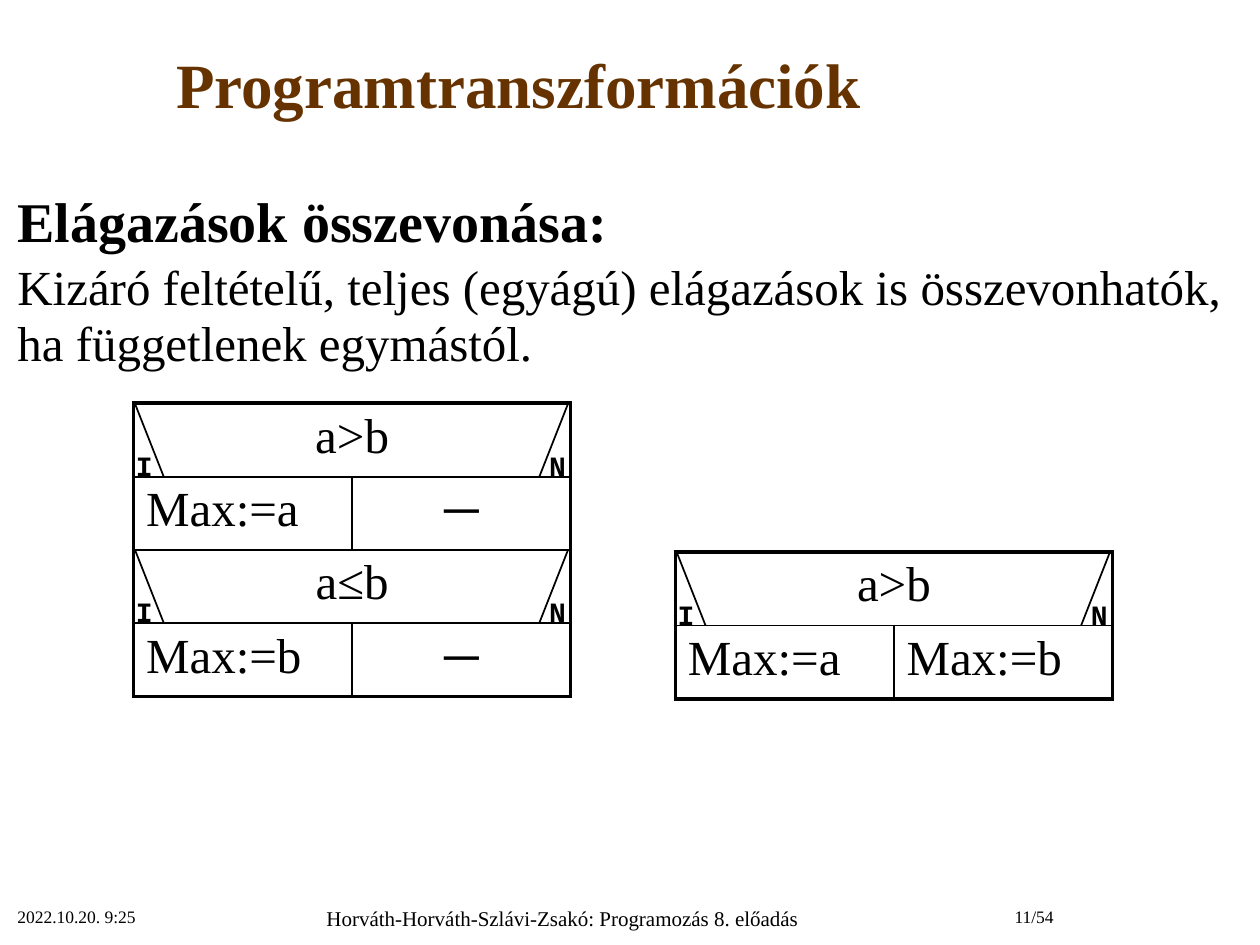
from dataclasses import dataclass

from lxml import etree
from pptx import Presentation
from pptx.dml.color import RGBColor
from pptx.enum.shapes import MSO_CONNECTOR
from pptx.enum.text import MSO_ANCHOR, PP_ALIGN
from pptx.oxml.ns import qn
from pptx.util import Inches, Pt

LEFT, CENTER, RIGHT = PP_ALIGN.LEFT, PP_ALIGN.CENTER, PP_ALIGN.RIGHT
TOP, MIDDLE = MSO_ANCHOR.TOP, MSO_ANCHOR.MIDDLE
STRAIGHT = MSO_CONNECTOR.STRAIGHT

COLORS = {"title": "663300", "ink": "000000"}
SERIF, MONO = "Times New Roman", "Courier New"
THICK, THIN = 2.25, 1
COLUMN_WIDTH, ROW_HEIGHT = 1.735, 0.585
CORNER = 0.23
LABEL_WIDTH, LABEL_HEIGHT = 0.32, 0.37


@dataclass
class Line:
    text: str
    size: float
    bold: bool = False
    color: str = "ink"
    font: str = SERIF
    align: PP_ALIGN = LEFT
    spacing: float = 1.0
    before: float = 0


@dataclass
class Block:
    left: float
    top: float
    width: float
    height: float
    lines: list[Line]
    anchor: MSO_ANCHOR = TOP


@dataclass
class Branch:
    left: float
    top: float
    condition: str
    yes: str
    no: str
    no_align: PP_ALIGN = CENTER
    top_border: float = THICK
    bottom_border: float = THICK


BLOCKS = [
    Block(0, 0.09, 8.23, 1.22,
          [Line("Programtranszformációk", 36, True, "title", align=CENTER, spacing=0.9)], MIDDLE),
    Block(0.04, 1.47, 9.77, 5.2, [
        Line("Elágazások összevonása:", 32, True, spacing=0.95, before=3),
        Line("Kizáró feltételű, teljes (egyágú) elágazások is összevonhatók, "
             "ha függetlenek egymástól.", 28, spacing=0.95, before=3),
    ]),
    Block(0.04, 7.14, 2.08, 0.39, [Line("2022.10.20. 9:25", 10)]),
    Block(2.12, 7.14, 4.69, 0.36,
          [Line("Horváth-Horváth-Szlávi-Zsakó: Programozás 8. előadás", 12, align=CENTER)]),
    Block(7.19, 7.14, 1.27, 0.39, [Line("11/54", 10, align=RIGHT)]),
]

BRANCHES = [
    Branch(1.06, 3.2, "a>b", "Max:=a", "─", bottom_border=THIN),
    Branch(1.06, 4.36, "a≤b", "Max:=b", "─", top_border=THIN),
    Branch(5.36, 4.38, "a>b", "Max:=a", "Max:=b", no_align=LEFT),
]


def write_line(para, line: Line) -> None:
    para.text = line.text
    para.alignment = line.align
    para.line_spacing = line.spacing
    para.space_before = Pt(line.before)
    para.font.name = line.font
    para.font.size = Pt(line.size)
    para.font.bold = line.bold
    para.font.color.rgb = RGBColor.from_string(COLORS[line.color])


def add_block(slide, block: Block) -> None:
    box = slide.shapes.add_textbox(Inches(block.left), Inches(block.top),
                                   Inches(block.width), Inches(block.height))
    frame = box.text_frame
    frame.word_wrap = True
    frame.vertical_anchor = block.anchor
    for index, line in enumerate(block.lines):
        write_line(frame.add_paragraph() if index else frame.paragraphs[0], line)


def add_border(cell, side: str, width: float) -> None:
    properties = cell._tc.get_or_add_tcPr()
    border = etree.SubElement(properties, qn(f"a:ln{side}"), w=str(Pt(width)))
    fill = etree.SubElement(border, qn("a:solidFill"))
    etree.SubElement(fill, qn("a:srgbClr"), val=COLORS["ink"])


def add_diagonal(slide, start_x: float, end_x: float, top: float) -> None:
    line = slide.shapes.add_connector(STRAIGHT, Inches(start_x), Inches(top),
                                      Inches(end_x), Inches(top + ROW_HEIGHT))
    line.line.width = Pt(THIN)
    line.line.color.rgb = RGBColor.from_string(COLORS["ink"])
    etree.SubElement(line._element.spPr, qn("a:effectLst"))


def add_branch(slide, branch: Branch) -> None:
    width = 2 * COLUMN_WIDTH
    table = slide.shapes.add_table(2, 2, Inches(branch.left), Inches(branch.top),
                                   Inches(width), Inches(2 * ROW_HEIGHT)).table
    table.first_row = table.horz_banding = False
    borders = {
        (0, 0): (THICK, THICK, branch.top_border, THIN),
        (0, 1): (THICK, THICK, branch.top_border, THIN),
        (1, 0): (THICK, THIN, THIN, branch.bottom_border),
        (1, 1): (THIN, THICK, THIN, branch.bottom_border),
    }
    for (row, column), widths in borders.items():
        cell = table.cell(row, column)
        for side, border_width in zip("LRTB", widths):
            add_border(cell, side, border_width)
        cell.fill.background()
    table.cell(0, 0).merge(table.cell(0, 1))
    texts = [(0, 0, branch.condition, CENTER), (1, 0, branch.yes, LEFT),
             (1, 1, branch.no, branch.no_align)]
    for row, column, text, align in texts:
        write_line(table.cell(row, column).text_frame.paragraphs[0],
                   Line(text, 28, align=align))

    right = branch.left + width
    add_diagonal(slide, branch.left + 0.01, branch.left + 0.01 + CORNER, branch.top)
    add_diagonal(slide, right - 0.02, right - 0.02 - CORNER, branch.top)
    for text, left in (("I", branch.left - 0.08), ("N", right - 0.27)):
        add_block(slide, Block(left, branch.top + 0.31, LABEL_WIDTH, LABEL_HEIGHT,
                               [Line(text, 16, True, font=MONO)]))


def main() -> None:
    deck = Presentation()
    deck.slide_width, deck.slide_height = Inches(10), Inches(7.5)
    slide = deck.slides.add_slide(deck.slide_layouts[6])
    for block in BLOCKS:
        add_block(slide, block)
    for branch in BRANCHES:
        add_branch(slide, branch)
    deck.save("out.pptx")


if __name__ == "__main__":
    main()
